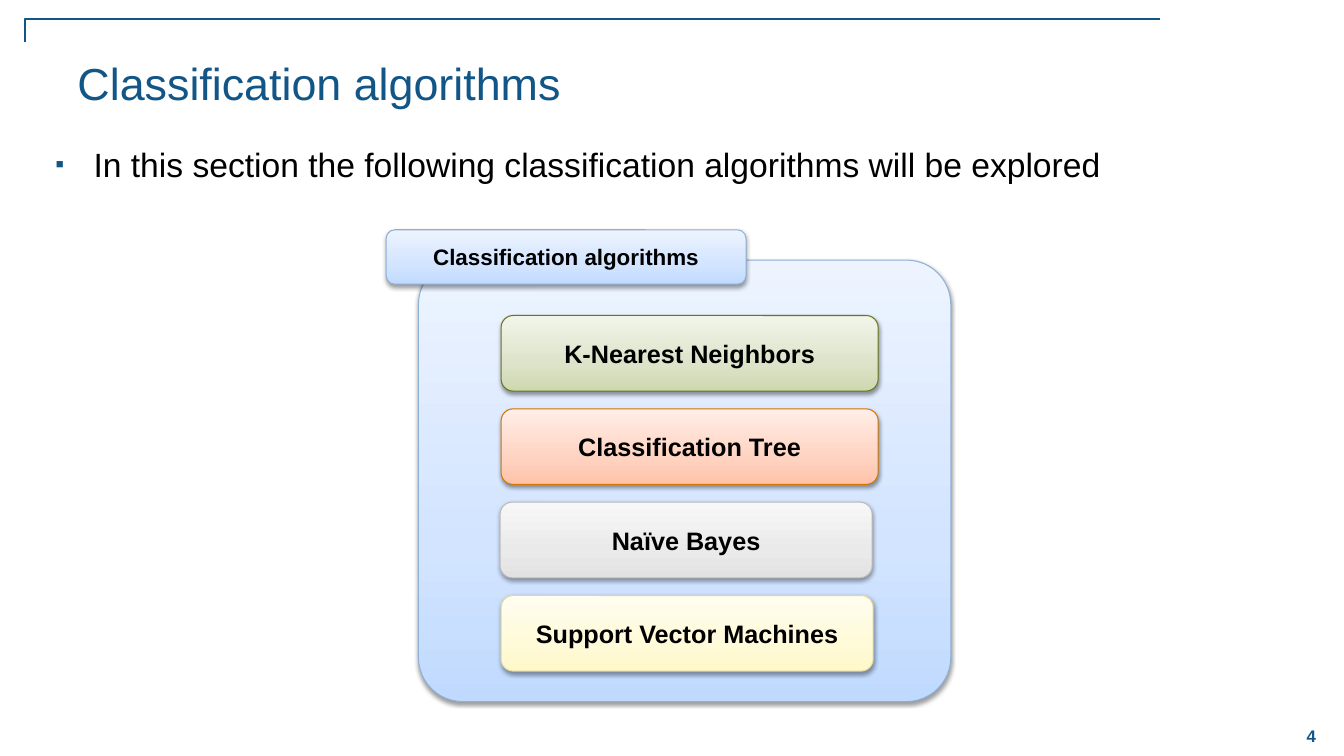
from copy import deepcopy

from lxml import etree
from pptx import Presentation
from pptx.dml.color import RGBColor
from pptx.enum.shapes import MSO_CONNECTOR, MSO_SHAPE
from pptx.enum.text import MSO_ANCHOR as ANCHOR, PP_ALIGN as ALIGN
from pptx.oxml import parse_xml
from pptx.oxml.ns import nsdecls, qn
from pptx.util import Inches, Pt

NAVY = RGBColor(0x12, 0x56, 0x87)
BLACK = RGBColor(0, 0, 0)

BLUE = [RGBColor.from_string(c) for c in ("C0DAFF", "D2E4FF", "EDF4FF", "90AFD4")]
GREEN = [RGBColor.from_string(c) for c in ("CDD8B0", "DCE3C8", "F2F5EA", "687816")]
ORANGE = [RGBColor.from_string(c) for c in ("FFC2A8", "FFD3C1", "FFEEE8", "D27604")]
GREY = [RGBColor.from_string(c) for c in ("E2E2E2", "EAEAEA", "F7F7F7", "BBBBBB")]
YELLOW = [RGBColor.from_string(c) for c in ("FFF8CA", "FFFAD8", "FFFDF0", "E2D99A")]

ALGORITHMS = [
    ("K-Nearest Neighbors", GREEN, 0.82, 3.74),
    ("Classification Tree", ORANGE, 0.82, 3.74),
    ("Naïve Bayes", GREY, 0.81, 3.69),
    ("Support Vector Machines", YELLOW, 0.82, 3.69),
]


def write(sp, text, align, anchor, **font):
    tf = sp.text_frame
    tf.word_wrap = True
    tf.vertical_anchor = anchor
    p = tf.paragraphs[0]
    p.alignment = align
    r = p.add_run()
    r.text = text
    r.font.color.rgb = font.pop("color", BLACK)
    for name, value in {"name": "Arial", **font}.items():
        setattr(r.font, name, value)
    return p


def add_text(s, box, text, align=ALIGN.LEFT, anchor=ANCHOR.TOP, **font):
    sp = s.shapes.add_textbox(*map(Inches, box))
    return write(sp, text, align, anchor, **font)


def add_bullet(p, indent):
    pPr = p._p.get_or_add_pPr()
    pPr.set("marL", str(Inches(indent)))
    pPr.set("indent", str(-Inches(indent)))
    for xml in (
        f'<a:buClr {nsdecls("a")}><a:srgbClr val="{NAVY}"/></a:buClr>',
        f'<a:buSzPct {nsdecls("a")} val="75000"/>',
        f'<a:buFont {nsdecls("a")} typeface="Arial"/>',
        f'<a:buChar {nsdecls("a")} char="▪"/>',
    ):
        pPr.append(parse_xml(xml))


def add_card(s, box, palette, radius, text="", size=18):
    sp = s.shapes.add_shape(MSO_SHAPE.ROUNDED_RECTANGLE, *map(Inches, box))
    sp.adjustments[0] = radius
    *colors, edge = palette
    sp.fill.gradient()
    sp.fill.gradient_angle = 90
    spPr = sp._element.spPr
    stops = spPr.find(".//" + qn("a:gsLst"))
    stops.append(deepcopy(stops[0]))
    for stop, position, color in zip(sp.fill.gradient_stops, (0, 0.35, 1), colors):
        stop.position = position
        stop.color.rgb = color
    sp.line.color.rgb = edge
    sp.line.width = Pt(0.75)
    sp.shadow.inherit = False
    spPr.find(qn("a:effectLst")).append(parse_xml(
        f'<a:outerShdw {nsdecls("a")} blurRad="{Pt(3.1)}" dist="{Pt(1.6)}" '
        'dir="5400000" rotWithShape="0"><a:srgbClr val="000000">'
        '<a:alpha val="38000"/></a:srgbClr></a:outerShdw>'
    ))
    if text:
        write(sp, text, ALIGN.CENTER, ANCHOR.MIDDLE, size=Pt(size), bold=True)


def add_frame(s, left, top, width, height):
    line = s.shapes.add_connector(
        MSO_CONNECTOR.ELBOW,
        *map(Inches, (left + width, top, left, top + height)),
    )
    line.line.color.rgb = NAVY
    line.line.width = Pt(1)
    spPr = line._element.spPr
    guides = spPr.find(".//" + qn("a:avLst"))
    etree.SubElement(guides, qn("a:gd"), name="adj1", fmla="val 100000")
    etree.SubElement(spPr, qn("a:effectLst"))


def add_header(s, left, top, width):
    add_text(s, (left + 0.22, top, width, 1.08), "Classification algorithms",
             size=Pt(32), color=NAVY)
    p = add_text(
        s, (left, top + 0.88, width, 0.63),
        "In this section the following classification algorithms will be explored",
        size=Pt(24))
    add_bullet(p, 0.38)


def add_algorithm_panel(s, left, top, width, height):
    add_card(s, (left, top, width, height), BLUE, 0.1)
    for i, (name, palette, inset, card_width) in enumerate(ALGORITHMS):
        box = (left + inset, top + 0.55 + i * 0.926, card_width, 0.75)
        add_card(s, box, palette, 0.16, name)
    add_card(s, (left - 0.32, top - 0.3, 3.57, 0.54), BLUE, 0.16,
             "Classification algorithms", 16)


def main():
    prs = Presentation()
    prs.slide_width, prs.slide_height = Inches(13.33), Inches(7.5)
    s = prs.slides.add_slide(prs.slide_layouts[6])
    add_text(s, (12.67, 7.09, 0.67, 0.42), "4", ALIGN.CENTER, ANCHOR.MIDDLE,
             size=Pt(12), bold=True, color=NAVY)
    add_frame(s, 0.25, 0.19, 11.26, 0.23)
    add_header(s, 0.45, 0.5, 11.78)
    add_algorithm_panel(s, 4.15, 2.58, 5.28, 4.38)
    prs.save("out.pptx")


if __name__ == "__main__":
    main()
